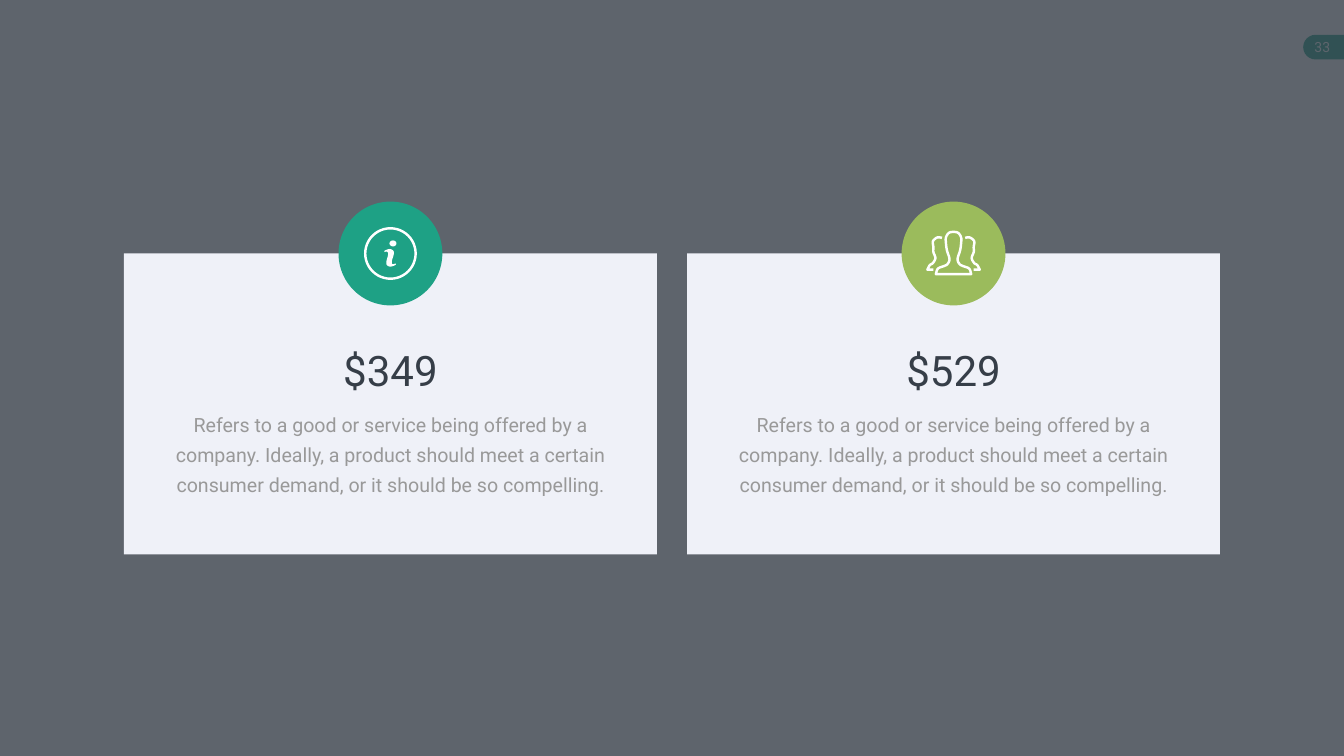
from lxml import etree
from pptx import Presentation
from pptx.dml.color import RGBColor
from pptx.enum.shapes import MSO_SHAPE
from pptx.enum.text import MSO_ANCHOR, PP_ALIGN
from pptx.oxml.ns import qn
from pptx.util import Inches, Pt

RECT, OVAL, DELAY = MSO_SHAPE.RECTANGLE, MSO_SHAPE.OVAL, MSO_SHAPE.FLOWCHART_DELAY
CENTER, TOP, MIDDLE = PP_ALIGN.CENTER, MSO_ANCHOR.TOP, MSO_ANCHOR.MIDDLE

# Content
PAGE_NUMBER = "33"
DESCRIPTION = ("Refers to a good or service being offered by a company. Ideally, a product "
               "should meet a certain consumer demand, or it should be so compelling.")
CARDS = [
    {"price": "$349", "text": DESCRIPTION, "accent": "teal", "icon": "info"},
    {"price": "$529", "text": DESCRIPTION, "accent": "green", "icon": "people"},
]

THEME = {
    "font": "Roboto",
    "colors": {"teal": "1EA185", "green": "9BBB5C", "dark": "363E48",
               "card": "EFF1F8", "gray": "999999", "white": "FFFFFF"},
    "sizes": {"price": 60, "text": 28, "page": 20},
    "leading": 43,
    "icon_line": 3.5,
}

# Layout in inches
SLIDE_W, SLIDE_H = 26.66, 15
CARD_W, CARD_H, CARD_TOP, CARD_GAP = 10.57, 5.97, 5.03, 0.6
BADGE = 2.06
PRICE_W, TEXT_W = 7.5, 9.14

# Icon outlines, measured from the badge centre
INFO_STEM = [(-.12, -.03), (-.11, -.06), (-.01, -.09), (.06, -.05), (.065, .02), (.03, .14),
             (.03, .2), (.06, .21), (.105, .2), (.095, .23), (0, .26), (-.07, .23),
             (-.08, .16), (-.05, .04), (-.05, -.02), (-.08, -.04)]
FRONT_HALF = [(0, -.43), (.09, -.41), (.15, -.32), (.15, -.2), (.13, -.06), (.08, .11),
              (.12, .21), (.19, .25), (.31, .3), (.35, .41)]
SIDE_PERSON = [(.23, -.31), (.28, -.32), (.34, -.31), (.41, -.24), (.4, -.13), (.4, -.03),
               (.36, .09), (.41, .19), (.47, .23), (.52, .32)]
SIDE_FOOT = (.4, .32)


def color(name):
    return RGBColor.from_string(THEME["colors"][name])


def add_box(s, kind, x, y, w, h, fill=None, line=None):
    sp = s.shapes.add_shape(kind, Inches(x), Inches(y), Inches(w), Inches(h))
    style_shape(sp, fill, line)
    return sp


def style_shape(sp, fill=None, line=None):
    sp.shadow.inherit = False
    if fill:
        sp.fill.solid()
        sp.fill.fore_color.rgb = color(fill)
    else:
        sp.fill.background()
    if line:
        sp.line.color.rgb = color(line)
        sp.line.width = Pt(THEME["icon_line"])
    else:
        sp.line.fill.background()


def add_text(s, x, y, w, h, text, size, ink, leading=None, margins=(0.1, 0.05), anchor=TOP):
    tf = s.shapes.add_textbox(Inches(x), Inches(y), Inches(w), Inches(h)).text_frame
    tf.word_wrap = True
    tf.vertical_anchor = anchor
    tf.margin_left = tf.margin_right = Inches(margins[0])
    tf.margin_top = tf.margin_bottom = Inches(margins[1])
    p = tf.paragraphs[0]
    p.text = text
    p.alignment = CENTER
    if leading:
        p.line_spacing = Pt(leading)
    p.font.name = THEME["font"]
    p.font.size = Pt(THEME["sizes"][size])
    p.font.color.rgb = color(ink)


def smooth(points, steps=6):
    """Catmull-Rom curve through the points."""
    ends = [points[0], *points, points[-1]]
    curve = [points[0]]
    for a, b, c, d in zip(ends, ends[1:], ends[2:], ends[3:]):
        for t in (i / steps for i in range(1, steps + 1)):
            curve.append(tuple(
                (2 * q + (r - p) * t + (2 * p - 5 * q + 4 * r - u) * t ** 2
                 + (3 * q - p - 3 * r + u) * t ** 3) / 2
                for p, q, r, u in zip(a, b, c, d)))
    return curve


def mirror(points):
    return [(-x, y) for x, y in points]


def add_outline(s, cx, cy, points, close, fill=None, line=None):
    pts = [(Inches(cx + x), Inches(cy + y)) for x, y in points]
    builder = s.shapes.build_freeform(*pts[0])
    builder.add_line_segments(pts[1:], close=close)
    style_shape(builder.convert_to_shape(), fill, line)


def draw_info(s, cx, cy):
    add_box(s, OVAL, cx - 0.5, cy - 0.5, 1, 1, line="white")
    add_box(s, OVAL, cx - 0.02, cy - 0.26, 0.14, 0.12, fill="white")
    add_outline(s, cx, cy, smooth(INFO_STEM), True, fill="white")


def draw_people(s, cx, cy):
    half = smooth(FRONT_HALF)
    add_outline(s, cx, cy, half + mirror(half)[:0:-1], True, line="white")
    side = smooth(SIDE_PERSON) + [SIDE_FOOT]
    for points in (side, mirror(side)):
        add_outline(s, cx, cy, points, False, line="white")


ICONS = {"info": draw_info, "people": draw_people}


def add_card(s, x, card):
    cx = x + CARD_W / 2
    add_box(s, RECT, x, CARD_TOP, CARD_W, CARD_H, fill="card")
    add_text(s, cx - PRICE_W / 2, 6.79, PRICE_W, 1.11, card["price"], "price", "dark")
    add_text(s, cx - TEXT_W / 2, 7.94, TEXT_W, 2, card["text"], "text", "gray",
             THEME["leading"], (0.24, 0.12))
    add_box(s, OVAL, cx - BADGE / 2, CARD_TOP - BADGE / 2, BADGE, BADGE, fill=card["accent"])
    ICONS[card["icon"]](s, cx, CARD_TOP)


def main():
    prs = Presentation()
    prs.slide_width, prs.slide_height = Inches(SLIDE_W), Inches(SLIDE_H)
    s = prs.slides.add_slide(prs.slide_layouts[6])

    # Page number tab
    add_box(s, DELAY, 25.85, 0.69, 0.49, 0.49, fill="teal").rotation = 180
    add_box(s, RECT, 26.34, 0.69, 0.32, 0.49, fill="teal")
    add_text(s, 25.9, 0.69, 0.66, 0.49, PAGE_NUMBER, "page", "white",
             margins=(0, 0), anchor=MIDDLE)

    # Dimming overlay
    overlay = add_box(s, RECT, 0, 0, SLIDE_W, SLIDE_H, fill="dark")
    rgb = overlay.fill._xPr.find(qn("a:solidFill"))[0]
    etree.SubElement(rgb, qn("a:alpha"), val="80000")

    # Price cards, centred as a row
    row_w = len(CARDS) * (CARD_W + CARD_GAP) - CARD_GAP
    for i, card in enumerate(CARDS):
        add_card(s, (SLIDE_W - row_w) / 2 + i * (CARD_W + CARD_GAP), card)

    prs.save("out.pptx")


if __name__ == "__main__":
    main()
